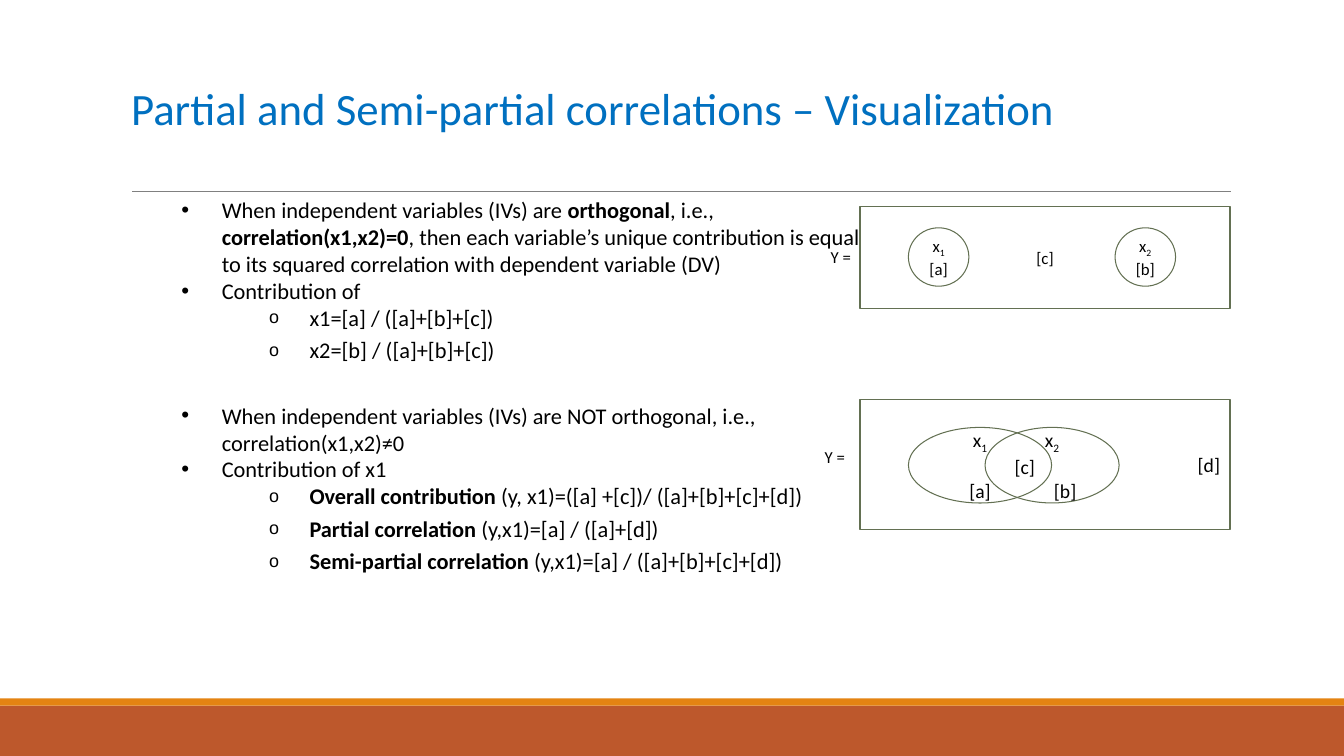
from lxml import etree
from pptx import Presentation
from pptx.dml.color import RGBColor
from pptx.enum.shapes import MSO_CONNECTOR, MSO_SHAPE
from pptx.enum.text import MSO_ANCHOR, MSO_AUTO_SIZE, PP_ALIGN
from pptx.oxml.ns import qn
from pptx.util import Inches, Pt

RECT, OVAL = MSO_SHAPE.RECTANGLE, MSO_SHAPE.OVAL
LEFT, CENTER, RIGHT = PP_ALIGN.LEFT, PP_ALIGN.CENTER, PP_ALIGN.RIGHT
MIDDLE, TOP = MSO_ANCHOR.MIDDLE, MSO_ANCHOR.TOP
BLACK = RGBColor(0x00, 0x00, 0x00)
BLUE = RGBColor(0x00, 0x70, 0xC0)
RUST = RGBColor(0xBD, 0x58, 0x2C)
ORANGE = RGBColor(0xE4, 0x83, 0x12)
GRAY = RGBColor(0x80, 0x80, 0x80)
OLIVE = RGBColor(0x63, 0x70, 0x52)
FONT = "Calibri"
MARGINS = ("margin_left", "margin_top", "margin_right", "margin_bottom")

# level: bullet character, size in percent, left indent in inches, space after in points
BULLETS = {1: ("•", 100, 1, 0), 3: ("o", 80, 1.87, 4)}

# level, space before in points, runs of (text, bold)
POINTS = [
    (1, 0, [("When independent variables (IVs) are ", False), ("orthogonal", True),
            (", i.e., ", False), ("correlation(x1,x2)=0", True),
            (", then each variable’s unique contribution is equal to its squared "
             "correlation with dependent variable (DV)", False)]),
    (1, 0, [("Contribution of", False)]),
    (3, 0, [("x1=[a] / ([a]+[b]+[c])", False)]),
    (3, 0, [("x2=[b] / ([a]+[b]+[c])", False)]),
    (1, 23.5, [("When independent variables (IVs) are NOT orthogonal, i.e., "
                "correlation(x1,x2)≠0", False)]),
    (1, 0, [("Contribution of x1", False)]),
    (3, 0, [("Overall contribution ", True),
            ("(y, x1)=([a] +[c])/ ([a]+[b]+[c]+[d])", False)]),
    (3, 0, [("Partial correlation ", True), ("(y,x1)=[a] / ([a]+[d])", False)]),
    (3, 0, [("Semi-partial correlation ", True),
            ("(y,x1)=[a] / ([a]+[b]+[c]+[d])", False)]),
]


def place(shape, box):
    for name, value in zip(("left", "top", "width", "height"), box):
        setattr(shape, name, Inches(value))


def format_frame(tf, margins, **values):
    for name, value in zip(MARGINS, margins):
        setattr(tf, name, Inches(value))
    for name, value in values.items():
        setattr(tf, name, value)


def format_paragraph(p, **values):
    for name, value in values.items():
        setattr(p, name, value)


def add_run(p, text, size, color=BLACK, bold=False):
    r = p.add_run()
    r.text = text
    for name, value in {"name": FONT, "size": Pt(size), "bold": bold}.items():
        setattr(r.font, name, value)
    r.font.color.rgb = color
    return r


def next_paragraph(tf, index):
    return tf.paragraphs[0] if index == 0 else tf.add_paragraph()


def add_bullet(p, char, percent, left):
    pPr = p._p.get_or_add_pPr()
    pPr.set("marL", str(Inches(left)))
    pPr.set("indent", str(Inches(-0.4)))
    for tag, name, value in (("a:buSzPct", "val", str(percent * 1000)),
                             ("a:buFont", "typeface", "Arial"),
                             ("a:buChar", "char", char)):
        etree.SubElement(pPr, qn(tag)).set(name, value)


def add_band(s, color, box):
    band = s.shapes.add_shape(RECT, *map(Inches, box))
    band.shadow.inherit = False
    band.fill.solid()
    band.fill.fore_color.rgb = color
    band.line.fill.background()


def add_backdrop(s, width, height):
    """Footer bands and the rule under the title."""
    add_band(s, RUST, (0, height - 0.5, width, 0.5))
    add_band(s, ORANGE, (0, height - 0.57, width, 0.07))
    rule = s.shapes.add_connector(MSO_CONNECTOR.STRAIGHT, Inches(1.31), Inches(1.9),
                                  Inches(12.21), Inches(1.9))
    rule.line.color.rgb = GRAY
    rule.line.width = Pt(0.5)
    etree.SubElement(rule._element.spPr, qn("a:effectLst"))


def fill_title(title, box):
    place(title, box)
    tf = title.text_frame
    format_frame(tf, (0.1, 0.05, 0.1, 0.05), vertical_anchor=MIDDLE, word_wrap=True,
                 auto_size=MSO_AUTO_SIZE.NONE)
    p = tf.paragraphs[0]
    format_paragraph(p, alignment=LEFT, line_spacing=0.85)
    add_run(p, "Partial and Semi-partial correlations – Visualization", 32, BLUE)


def fill_body(body, box):
    place(body, box)
    tf = body.text_frame
    format_frame(tf, (0, 0.05, 0, 0.05), vertical_anchor=TOP, word_wrap=True,
                 auto_size=MSO_AUTO_SIZE.NONE)
    for i, (level, before, runs) in enumerate(POINTS):
        char, percent, left, after = BULLETS[level]
        p = next_paragraph(tf, i)
        format_paragraph(p, level=level, alignment=LEFT, line_spacing=1.0,
                         space_before=Pt(before), space_after=Pt(after))
        add_bullet(p, char, percent, left)
        for text, bold in runs:
            add_run(p, text, 16, bold=bold)


def add_region(group, kind, box, size, lines):
    """Outlined area; each line is (text, subscript, alignment, space before, indent)."""
    region = group.shapes.add_shape(kind, *map(Inches, box))
    region.shadow.inherit = False
    region.fill.background()
    region.line.color.rgb = OLIVE
    region.line.width = Pt(0.75)
    tf = region.text_frame
    format_frame(tf, (0.1,) * 4, vertical_anchor=MIDDLE, word_wrap=True)
    for i, (text, subscript, alignment, before, indent) in enumerate(lines):
        p = next_paragraph(tf, i)
        format_paragraph(p, alignment=alignment, space_before=Pt(before))
        if indent:
            p._p.get_or_add_pPr().set("marL", str(Inches(indent)))
        add_run(p, text, size)
        if subscript:
            r = add_run(p, subscript, size)
            r.font._element.set("baseline", "-25000")


def add_y_label(s, left, top):
    label = s.shapes.add_textbox(*map(Inches, (left, top, 0.41, 0.3)))
    tf = label.text_frame
    format_frame(tf, (0.1, 0.05, 0.1, 0.05), word_wrap=False,
                 auto_size=MSO_AUTO_SIZE.SHAPE_TO_FIT_TEXT)
    add_run(tf.paragraphs[0], "Y =", 12)


def add_orthogonal_diagram(s, box):
    x, y = box[:2]
    group = s.shapes.add_group_shape()
    add_region(group, RECT, box, 12, [("[c]", "", CENTER, 0, 0)])
    for dx, number, part in ((0.48, "1", "[a]"), (2.53, "2", "[b]")):
        add_region(group, OVAL, (x + dx, y + 0.21, 0.6, 0.58), 12,
                   [("x", number, CENTER, 0, 0), (part, "", CENTER, 0, 0)])
    add_y_label(s, x - 0.39, y + 0.35)


def add_overlap_diagram(s, box):
    x, y = box[:2]
    group = s.shapes.add_group_shape()
    add_region(group, RECT, box, 14, [("[d]", "", RIGHT, 0, 0)])
    add_region(group, OVAL, (x + 0.48, y + 0.28, 1.42, 0.75), 14,
               [("x", "1", CENTER, 0, 0), ("[a]", "", CENTER, 17, 0)])
    add_region(group, OVAL, (x + 1.24, y + 0.28, 1.33, 0.75), 14,
               [("x", "2", CENTER, 0, 0), ("[c]", "", LEFT, 0, 0),
                ("[b]", "", CENTER, 0, 0.26)])
    add_y_label(s, x - 0.45, y + 0.42)


def main():
    prs = Presentation()
    prs.slide_width, prs.slide_height = Inches(13.33), Inches(7.5)
    s = prs.slides.add_slide(prs.slide_layouts[1])
    add_backdrop(s, 13.33, 7.5)
    fill_title(s.shapes.title, (1.2, 0.31, 11, 1.59))
    fill_body(s.placeholders[1], (1.2, 1.9, 7.33, 4.41))
    add_orthogonal_diagram(s, (8.53, 2.05, 3.67, 1.01))
    add_overlap_diagram(s, (8.53, 3.96, 3.67, 1.29))
    prs.save("out.pptx")


if __name__ == "__main__":
    main()
